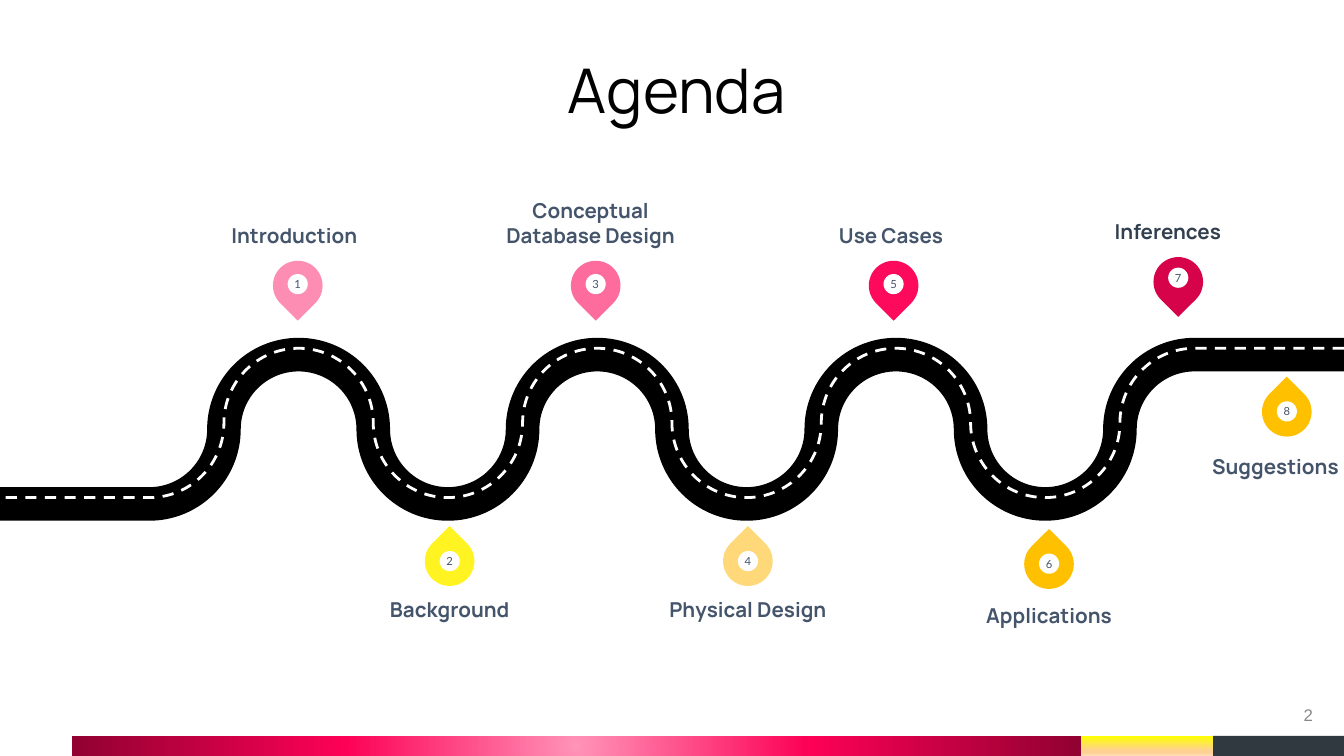
"""Build an agenda slide with a winding road and eight numbered pins."""
from lxml import etree
from pptx import Presentation
from pptx.dml.color import RGBColor
from pptx.enum.dml import MSO_LINE
from pptx.enum.shapes import MSO_SHAPE as Shape
from pptx.enum.text import MSO_ANCHOR as Anchor, PP_ALIGN as Align
from pptx.oxml import parse_xml
from pptx.oxml.ns import nsdecls, qn
from pptx.util import Pt

BLACK = RGBColor(0x00, 0x00, 0x00)
WHITE = RGBColor(0xFF, 0xFF, 0xFF)
GREY = RGBColor(0x88, 0x88, 0x88)
SLATE = RGBColor(0x44, 0x54, 0x6A)
DARK_SLATE = RGBColor(0x32, 0x3F, 0x4F)
CHARCOAL = RGBColor(0x30, 0x38, 0x40)
PALE_PINK = RGBColor(0xFE, 0x8D, 0xB4)
PINK = RGBColor(0xFE, 0x6C, 0x9D)
HOT_PINK = RGBColor(0xFD, 0x0A, 0x5C)
CRIMSON = RGBColor(0xD6, 0x03, 0x4A)
YELLOW = RGBColor(0xFF, 0xF4, 0x22)
SAND = RGBColor(0xFF, 0xD9, 0x79)
AMBER = RGBColor(0xFF, 0xC0, 0x00)
SUN = RGBColor(0xFF, 0xFF, 0x00)
PEACH = RGBColor(0xFF, 0xD0, 0x95)
CREAM = RGBColor(0xFF, 0xDF, 0xB7)
ROSE = RGBColor(0xFF, 0x93, 0xB8)
MAGENTA = RGBColor(0xFD, 0x01, 0x56)
WINE = RGBColor(0x91, 0x01, 0x31)


def write_text(box, text, font, size, color, align=Align.CENTER, anchor=Anchor.TOP, bold=False):
    frame = box.text_frame
    frame.word_wrap = True
    frame.vertical_anchor = anchor
    frame.margin_left = frame.margin_right = frame.margin_top = frame.margin_bottom = 0
    para = frame.paragraphs[0]
    para.alignment = align
    span = para.add_run()
    span.text = text
    span.font.name = font
    span.font.size = Pt(size)
    span.font.bold = bold
    span.font.color.rgb = color
    return para


def add_plain(kind, left, top, width, height, color=None):
    shape = page.shapes.add_shape(kind, Pt(left), Pt(top), Pt(width), Pt(height))
    shape.shadow.inherit = False
    shape.line.fill.background()
    if color is not None:
        shape.fill.solid()
        shape.fill.fore_color.rgb = color
    return shape


deck = Presentation()
deck.slide_width, deck.slide_height = Pt(720), Pt(405)
page = deck.slides.add_slide(deck.slide_layouts[6])

title = page.shapes.add_textbox(Pt(80), Pt(14), Pt(565), Pt(53.7))
write_text(title, "Agenda", "Manrope", 33, BLACK, anchor=Anchor.BOTTOM).line_spacing = 0.9
number = page.shapes.add_textbox(Pt(674.6), Pt(377.3), Pt(28.8), Pt(12))
write_text(number, "2", "Arial", 9, GREY, Align.RIGHT)

RADIUS = 40
HANDLE = 22.09
LEVELS = [0, 40, 80, 40]
TURNS = 14
ROAD_START = 640

for road_top, road_color, road_width in [(190, BLACK, 18), (186.6, WHITE, 1.5)]:
    points = [(ROAD_START, road_top)]
    for turn in range(TURNS):
        x = ROAD_START - turn * RADIUS
        y = road_top + LEVELS[turn % 4]
        next_y = road_top + LEVELS[(turn + 1) % 4]
        bend = HANDLE if next_y > y else -HANDLE
        if turn % 2 == 0:
            points += [(x - HANDLE, y), (x - RADIUS, next_y - bend)]
        else:
            points += [(x, y + bend), (x - RADIUS + HANDLE, next_y)]
        points.append((x - RADIUS, next_y))
    points.append((0, points[-1][1]))
    builder = page.shapes.build_freeform(Pt(720), Pt(road_top), scale=1.0)
    builder.add_line_segments([(Pt(x), Pt(y)) for x, y in points], close=False)
    road = builder.convert_to_shape()
    road.shadow.inherit = False
    road.fill.background()
    road.line.color.rgb = road_color
    road.line.width = Pt(road_width)
    if road_color == WHITE:
        road.line.dash_style = MSO_LINE.DASH
    segments = list(road._element.iter(qn("a:lnTo")))[1:-1]
    for first in range(0, len(segments), 3):
        curve = etree.Element(qn("a:cubicBezTo"))
        segments[first].addprevious(curve)
        for segment in segments[first:first + 3]:
            curve.append(segment[0])
            segment.getparent().remove(segment)

PIN = 26.6
DOT = 10.8
LABEL_HEIGHT = 42
STOPS = [
    ("1", "Introduction", PALE_PINK, 159.5, 153, 152.2, 157.7, 132.5, 101.5, SLATE),
    ("2", "Background", YELLOW, 240.9, 300.6, 300.6, 240.9, 319.7, 101.5, SLATE),
    ("3", "Conceptual Database Design", PINK, 319.1, 153, 152.2, 316.4, 132.5, 101.5, SLATE),
    ("4", "Physical Design", SAND, 400.7, 300.6, 300.6, 400.7, 319.7, 101.5, SLATE),
    ("5", "Use Cases", HOT_PINK, 478.7, 153, 152.2, 477.4, 132.5, 101.5, SLATE),
    ("6", "Applications", AMBER, 562, 302.2, 302, 562, 323.3, 101.5, SLATE),
    ("7", "Inferences", CRIMSON, 631.2, 151, 148.8, 625.7, 130.4, 75, DARK_SLATE),
    ("8", "Suggestions", AMBER, 689.4, 220.6, 220.4, 683.3, 243.4, 73, SLATE),
]
for digit, name, color, x, pin_y, dot_y, label_x, label_edge, label_width, ink in STOPS:
    above = label_edge < pin_y
    pin = add_plain(Shape.TEAR, x - PIN / 2, pin_y - PIN / 2, PIN, PIN, color)
    pin.rotation = 135 if above else 315
    dot = add_plain(Shape.OVAL, x - DOT / 2, dot_y - DOT / 2, DOT, DOT, WHITE)
    write_text(dot, digit, "Lato", 6, SLATE, anchor=Anchor.MIDDLE)
    label_top = label_edge - LABEL_HEIGHT if above else label_edge
    label = page.shapes.add_textbox(
        Pt(label_x - label_width / 2), Pt(label_top), Pt(label_width), Pt(LABEL_HEIGHT))
    write_text(label, name, "Manrope", 11, ink,
               anchor=Anchor.BOTTOM if above else Anchor.TOP, bold=True)

BAR_TOP = 394.3
BAR_HEIGHT = 10.7
LINEAR = '<a:lin ang="5400000" scaled="0"/>'
RADIAL = '<a:path path="circle"><a:fillToRect l="50000" t="50000" r="50000" b="50000"/></a:path>'
BARS = [
    (579.2, 70.4, [(0, SUN), (74, PEACH), (83, PEACH), (100, CREAM)], LINEAR),
    (38.5, 540.7, [(0, ROSE), (46, MAGENTA), (100, WINE)], RADIAL),
]
add_plain(Shape.RECTANGLE, 649.6, BAR_TOP, 70.4, BAR_HEIGHT, CHARCOAL)
for left, width, shades, direction in BARS:
    bar = add_plain(Shape.RECTANGLE, left, BAR_TOP, width, BAR_HEIGHT)
    stops = "".join(
        f'<a:gs pos="{percent * 1000}"><a:srgbClr val="{shade}"/></a:gs>'
        for percent, shade in shades)
    gradient = f'<a:gradFill {nsdecls("a")}><a:gsLst>{stops}</a:gsLst>{direction}</a:gradFill>'
    bar._element.spPr.find(qn("a:prstGeom")).addnext(parse_xml(gradient))

deck.save("out.pptx")
